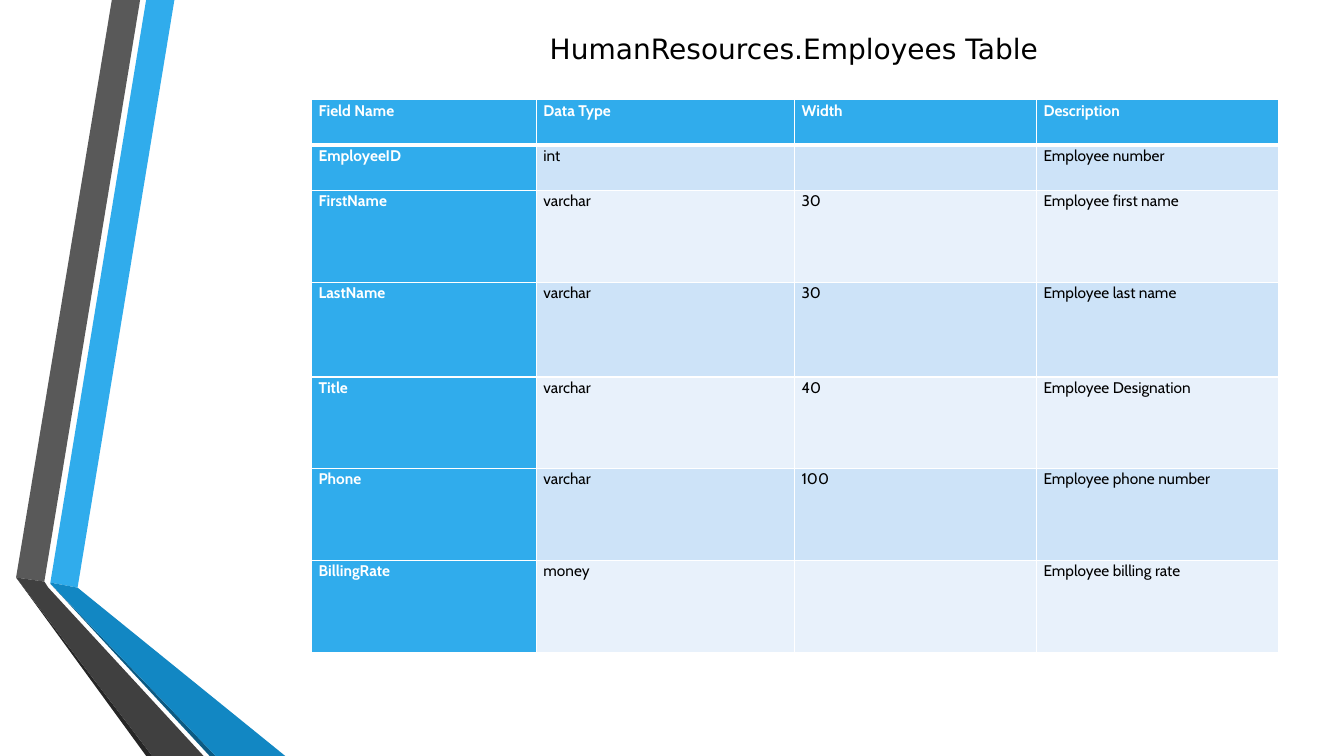
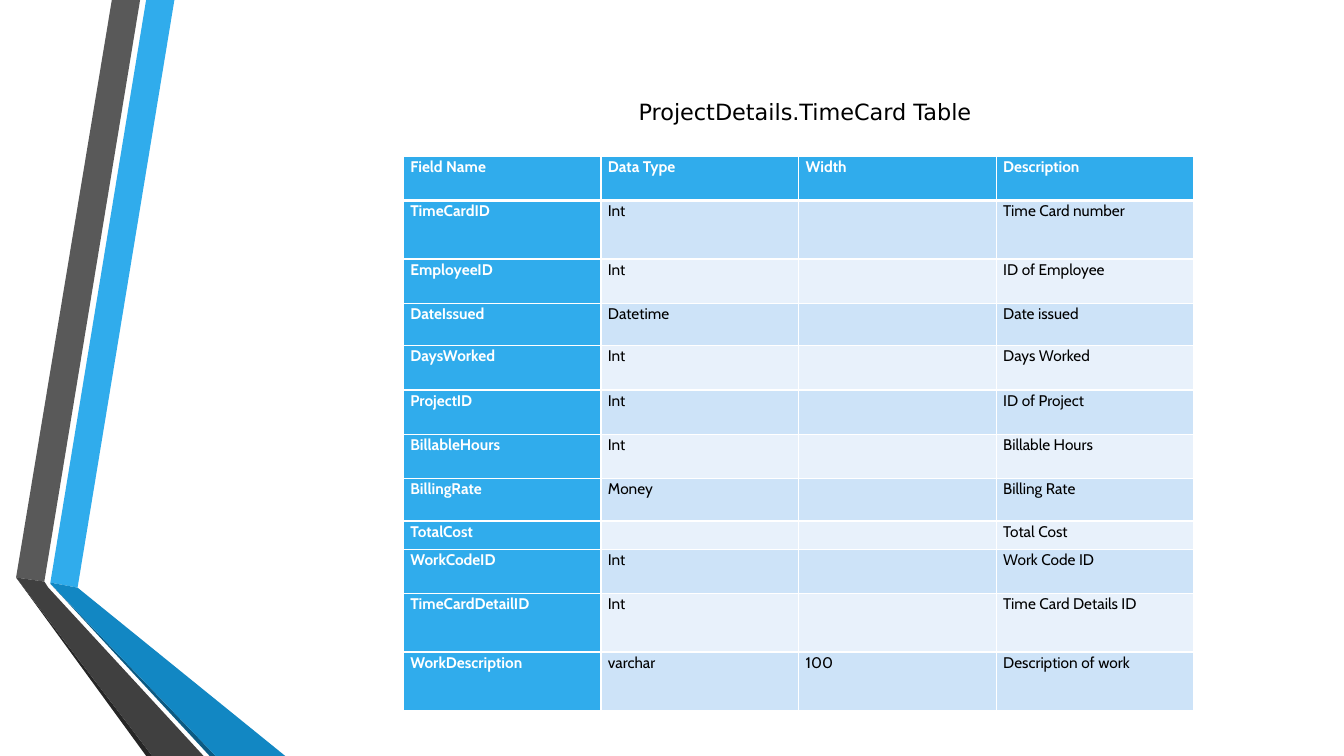
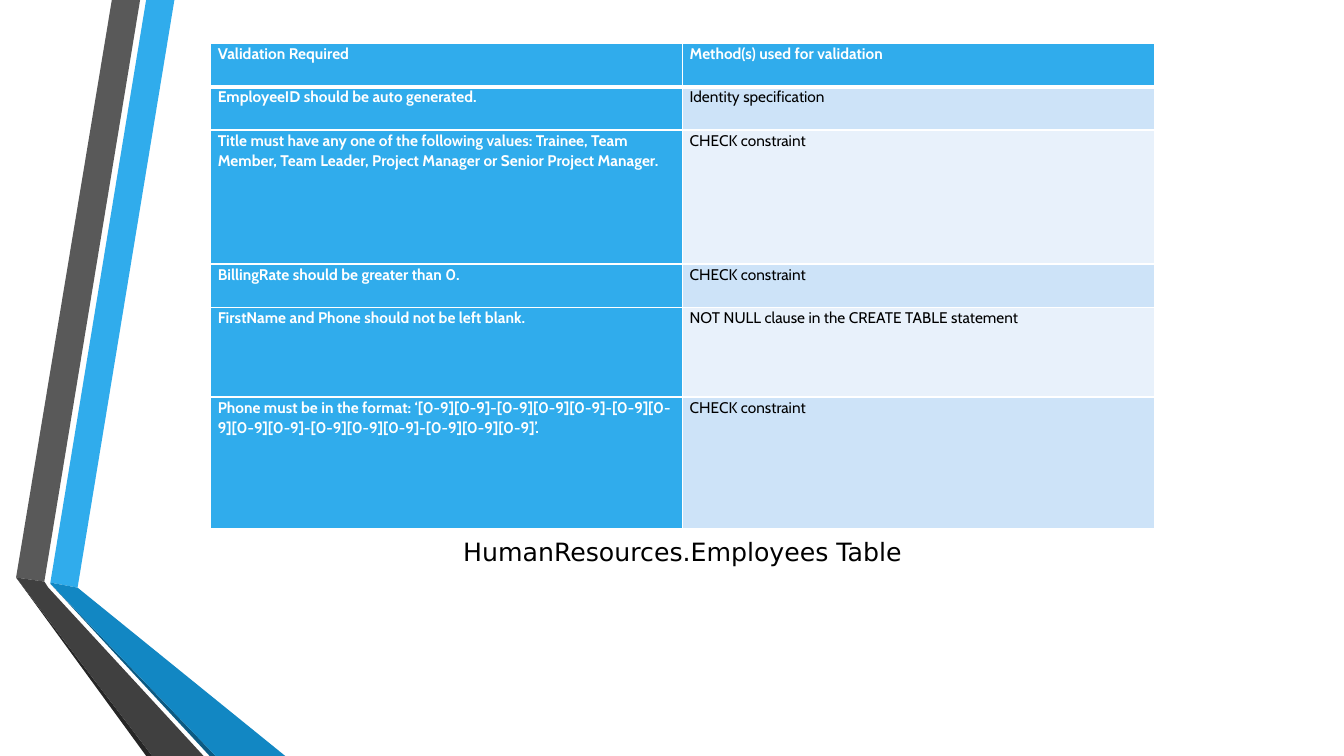
from lxml.etree import SubElement
from pptx import Presentation
from pptx.dml.color import RGBColor
from pptx.enum.text import MSO_ANCHOR, MSO_AUTO_SIZE, PP_ALIGN
from pptx.oxml.ns import qn
from pptx.util import Inches, Pt

WHITE = RGBColor(0xFF, 0xFF, 0xFF)
BLACK = RGBColor(0x00, 0x00, 0x00)
BLUE = RGBColor(0x30, 0xAC, 0xEC)
MID_BLUE = RGBColor(0x12, 0x87, 0xC3)
DARK_BLUE = RGBColor(0x0C, 0x5A, 0x82)
GREY = RGBColor(0x59, 0x59, 0x59)
DARK_GREY = RGBColor(0x40, 0x40, 0x40)
NEAR_BLACK = RGBColor(0x26, 0x26, 0x26)
ROW_TINTS = (RGBColor(0xCD, 0xE3, 0xF8), RGBColor(0xE8, 0xF1, 0xFB))

TITLE_FONT = "DejaVu Sans"
TABLE_FONT = "Cabin"
TABLE_SIZE = Pt(11)
LINE_SPACING = 1.07

# Ribbon on the left edge, back to front: colour and corners in inches
BANDS = [
    (BLUE, [(0.5, 5.78), (0.77, 5.83), (1.73, 0), (1.45, 0)]),
    (GREY, [(1.39, 0), (1.11, 0), (0.16, 5.73), (0.44, 5.77)]),
    (NEAR_BLACK, [(0.16, 5.73), (1.45, 7.5), (1.51, 7.5)]),
    (DARK_BLUE, [(0.5, 5.79), (2.08, 7.5), (2.14, 7.5)]),
    (MID_BLUE, [(0.5, 5.79), (2.14, 7.5), (2.83, 7.5), (0.77, 5.83), (0.5, 5.78)]),
    (DARK_GREY, [(2.02, 7.5), (0.48, 5.83), (0.44, 5.77), (0.16, 5.73), (1.51, 7.5)]),
]

FIELD_HEADER = ("Field Name", "Data Type", "Width", "Description")

SLIDES = [
    {
        "title": "HumanResources.Employees Table",
        "title_box": (2.68, 0.25, 10.39, 0.44),
        "title_size": 20,
        "table_at": (3.09, 0.99),
        "columns": [2.23, 2.56, 2.4, 2.4],
        "heights": [0.45, 0.45, 0.91, 0.94, 0.91, 0.91, 0.91],
        "rows": [
            FIELD_HEADER,
            ("EmployeeID", "int", "", "Employee number"),
            ("FirstName", "varchar", "30", "Employee first name"),
            ("LastName", "varchar", "30", "Employee last name"),
            ("Title", "varchar", "40", "Employee Designation"),
            ("Phone", "varchar", "100", "Employee phone number"),
            ("BillingRate", "money", "", "Employee billing rate"),
        ],
    },
    {
        "title": "ProjectDetails.TimeCard Table",
        "title_box": (4.07, 0.91, 7.83, 0.37),
        "title_size": 16,
        "table_at": (4, 1.55),
        "columns": [1.96] * 4,
        "heights": [0.44, 0.58, 0.44, 0.42, 0.44, 0.44, 0.44, 0.42, 0.28, 0.44, 0.58, 0.58],
        "rows": [
            FIELD_HEADER,
            ("TimeCardID", "Int", "", "Time Card number"),
            ("EmployeeID", "Int", "", "ID of Employee"),
            ("DateIssued", "Datetime", "", "Date issued"),
            ("DaysWorked", "Int", "", "Days Worked"),
            ("ProjectID", "Int", "", "ID of Project"),
            ("BillableHours", "Int", "", "Billable Hours"),
            ("BillingRate", "Money", "", "Billing Rate"),
            ("TotalCost", "", "", "Total Cost"),
            ("WorkCodeID", "Int", "", "Work Code ID"),
            ("TimeCardDetailID", "Int", "", "Time Card Details ID"),
            ("WorkDescription", "varchar", "100", "Description of work"),
        ],
    },
    {
        "title": "HumanResources.Employees Table",
        "title_box": (2.09, 5.26, 9.36, 0.4),
        "title_size": 18,
        "table_at": (2.09, 0.43),
        "columns": [4.68] * 2,
        "heights": [0.43, 0.43, 1.33, 0.43, 0.89, 1.3],
        "rows": [
            ("Validation Required", "Method(s) used for validation"),
            ("EmployeeID should be auto generated.", "Identity specification"),
            ("Title must have any one of the following values: Trainee, Team Member, "
             "Team Leader, Project Manager or Senior Project Manager.", "CHECK constraint"),
            ("BillingRate should be greater than 0.", "CHECK constraint"),
            ("FirstName and Phone should not be left blank.",
             "NOT NULL clause in the CREATE TABLE statement"),
            ("Phone must be in the format: ‘[0-9][0-9]-[0-9][0-9][0-9]-[0-9][0-9][0-9][0-9]"
             "-[0-9][0-9][0-9]-[0-9][0-9][0-9]’.", "CHECK constraint"),
        ],
    },
]


def move_bands_to_layout(slide, layout):
    """Draw the ribbon with the slide's freeform builder, then hand it to the layout."""
    for band_id, (colour, corners) in enumerate(BANDS, start=20):
        start, *others = [(Inches(x), Inches(y)) for x, y in corners]
        builder = slide.shapes.build_freeform(*start)
        builder.add_line_segments(others, close=True)
        band = builder.convert_to_shape()
        band.shadow.inherit = False
        band.fill.solid()
        band.fill.fore_color.rgb = colour
        band.line.fill.background()
        band.element.nvSpPr.cNvPr.set("id", str(band_id))
        layout.shapes.element.append(band.element)


def set_title(slide, content):
    title = slide.shapes.title
    title.left, title.top, title.width, title.height = map(Inches, content["title_box"])
    frame = title.text_frame
    frame.text = content["title"]
    frame.word_wrap = True
    frame.auto_size = MSO_AUTO_SIZE.SHAPE_TO_FIT_TEXT
    frame.vertical_anchor = MSO_ANCHOR.MIDDLE
    paragraph = frame.paragraphs[0]
    paragraph.alignment = PP_ALIGN.CENTER
    paragraph.line_spacing = LINE_SPACING
    paragraph.font.name = TITLE_FONT
    paragraph.font.size = Pt(content["title_size"])
    paragraph.font.color.rgb = BLACK


def add_borders(cell, top, bottom):
    """White borders; top and bottom are widths in points."""
    properties = cell._tc.get_or_add_tcPr()
    for side, width in (("L", 1), ("R", 1), ("T", top), ("B", bottom)):
        line = SubElement(properties, qn(f"a:ln{side}"), w=str(Pt(width)))
        fill = SubElement(line, qn("a:solidFill"))
        SubElement(fill, qn("a:srgbClr"), val=str(WHITE))


def format_cell(cell, text, row, column):
    emphasised = row == 0 or column == 0
    add_borders(cell, top=3 if row == 1 else 1, bottom=3 if row == 0 else 1)
    cell.fill.solid()
    cell.fill.fore_color.rgb = BLUE if emphasised else ROW_TINTS[(row - 1) % 2]
    cell.margin_left = cell.margin_right = Inches(0.07)
    cell.margin_top = cell.margin_bottom = 0
    cell.text = text
    paragraph = cell.text_frame.paragraphs[0]
    paragraph.line_spacing = LINE_SPACING
    paragraph.font.name = TABLE_FONT
    paragraph.font.size = TABLE_SIZE
    paragraph.font.bold = emphasised
    paragraph.font.color.rgb = WHITE if emphasised else BLACK
    if not text:  # keeps an empty cell from stretching a low row
        SubElement(paragraph._p, qn("a:endParaRPr"), sz=str(int(TABLE_SIZE.pt * 100)))


def add_field_table(slide, content):
    rows, columns, heights = content["rows"], content["columns"], content["heights"]
    left, top = content["table_at"]
    table = slide.shapes.add_table(
        len(rows), len(columns), Inches(left), Inches(top),
        Inches(sum(columns)), Inches(sum(heights))).table
    for column, width in zip(table.columns, columns):
        column.width = Inches(width)
    for row, height in zip(table.rows, heights):
        row.height = Inches(height)
    for r, texts in enumerate(rows):
        for c, text in enumerate(texts):
            format_cell(table.cell(r, c), text, r, c)


def main():
    presentation = Presentation()
    presentation.slide_width = Inches(13.33)
    presentation.slide_height = Inches(7.5)
    title_only = presentation.slide_layouts[5]
    for content in SLIDES:
        slide = presentation.slides.add_slide(title_only)
        set_title(slide, content)
        add_field_table(slide, content)
    move_bands_to_layout(presentation.slides[0], title_only)
    presentation.save("out.pptx")


if __name__ == "__main__":
    main()
